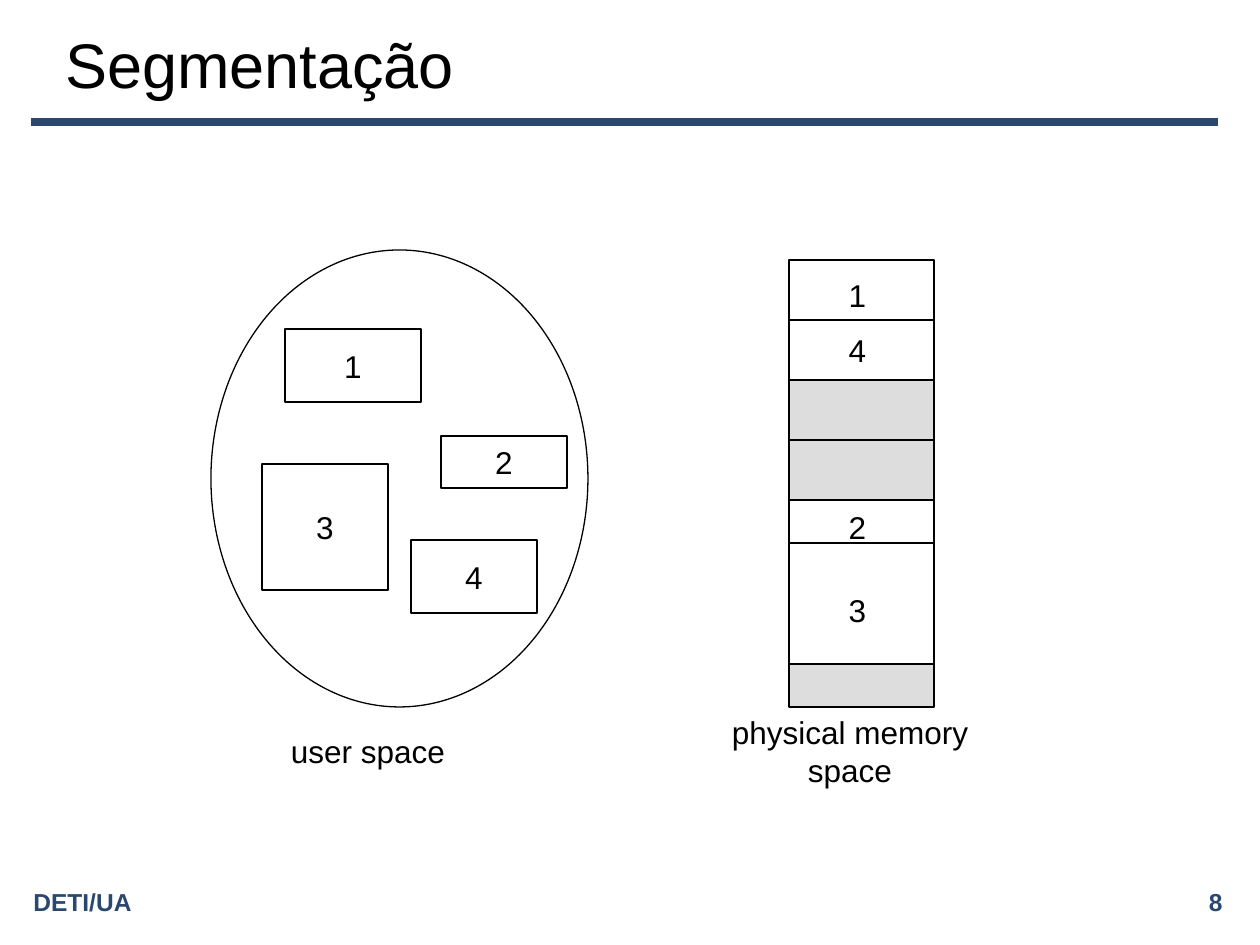
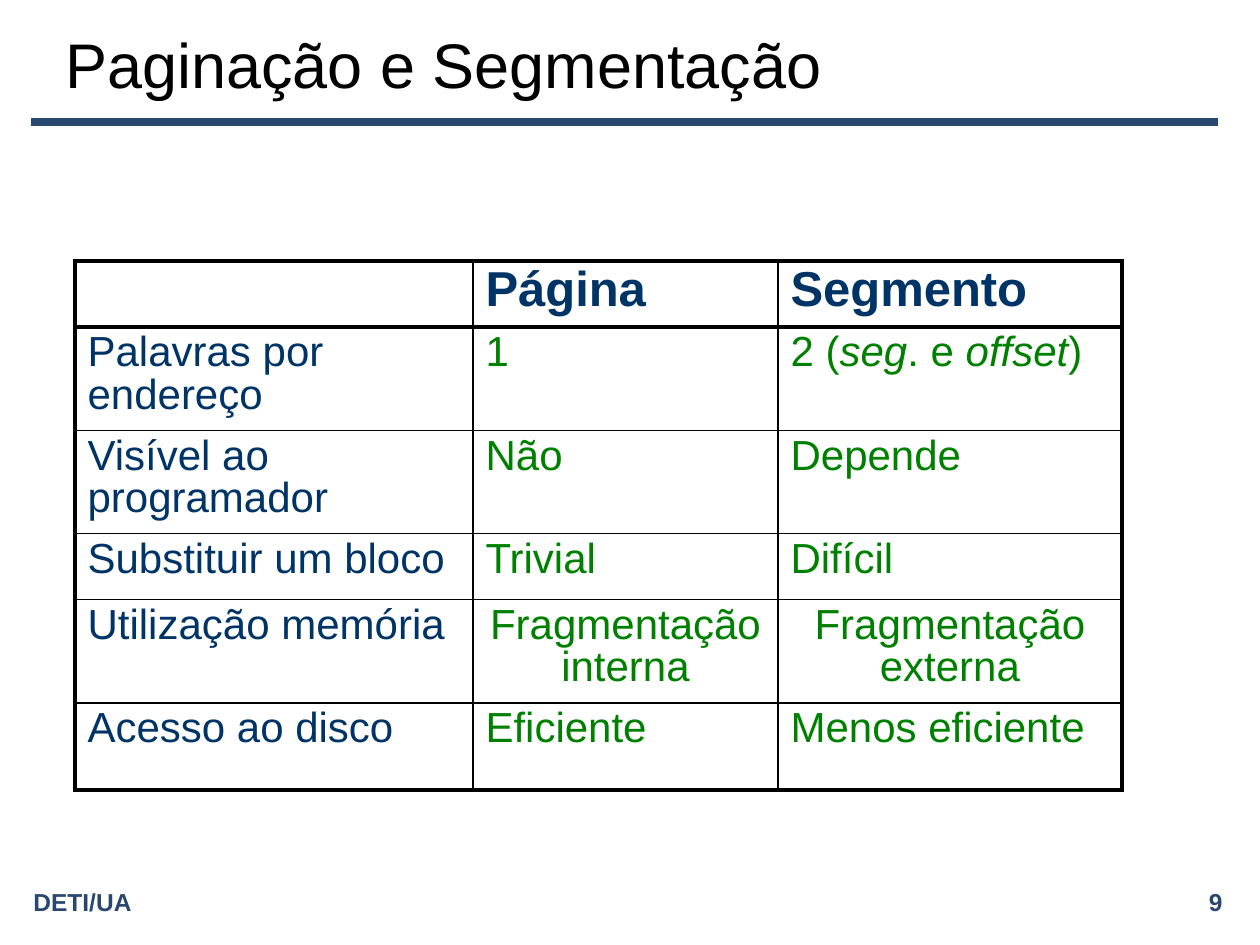
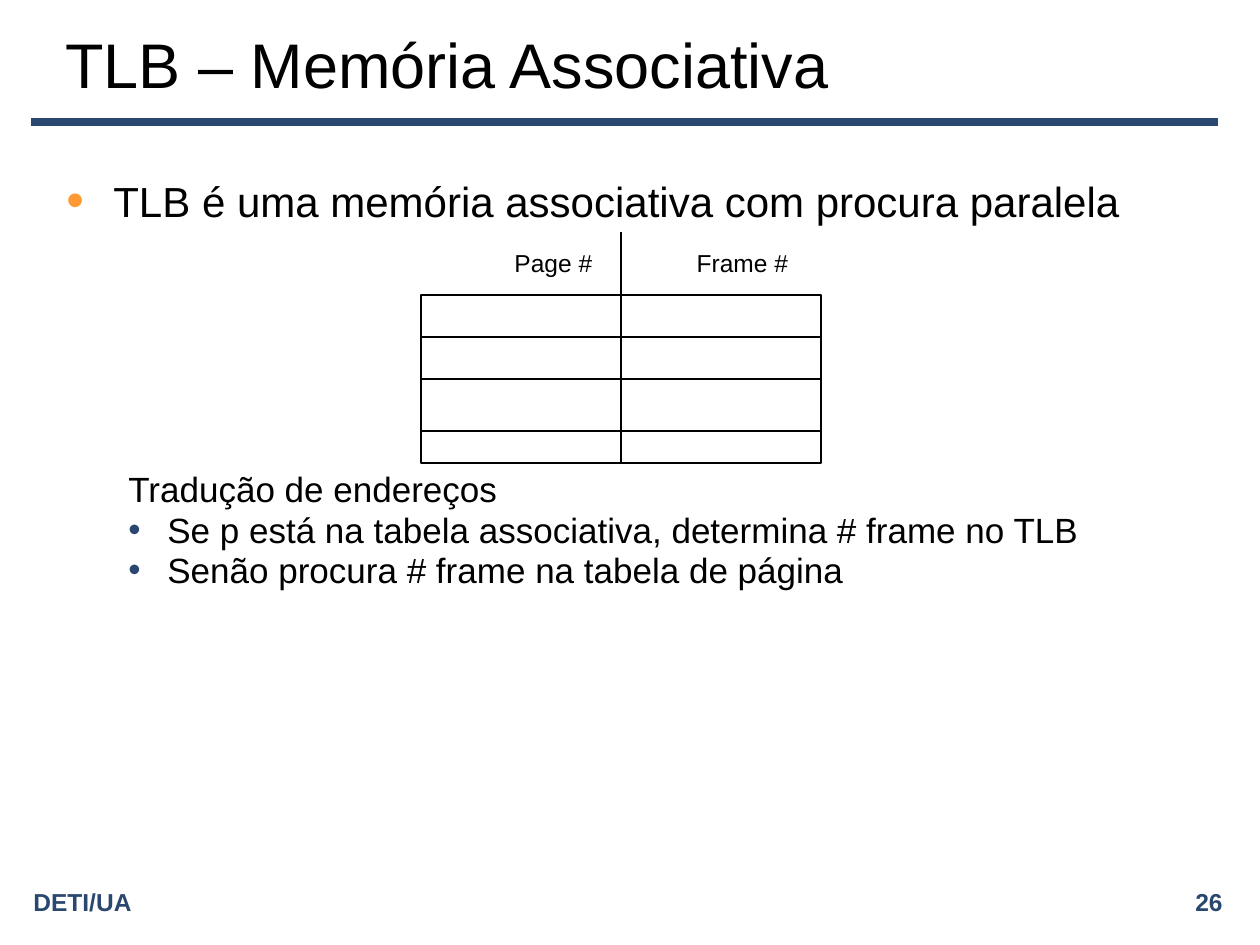
from lxml.etree import SubElement
from pptx import Presentation
from pptx.dml.color import RGBColor
from pptx.enum.shapes import MSO_CONNECTOR, MSO_SHAPE
from pptx.enum.text import MSO_ANCHOR, PP_ALIGN
from pptx.oxml import parse_xml
from pptx.oxml.ns import nsdecls, qn
from pptx.util import Pt

PX = 914400 // 126
FONT = "Arial"
BLACK, WHITE, GREY = "000000", "FFFFFF", "DDDDDD"
BLUE, NAVY, GREEN, ORANGE = "2A476F", "003366", "008000", "FF9933"
THIN = 0.75
LEFT_SIDE, BOTTOM_SIDE, RIGHT_SIDE = 1, 2, 3


def add_box(slide, box, text="", preset=None, fill=WHITE, size=18, color=BLACK,
            bold=False, align=PP_ALIGN.CENTER, wrap=False):
    """Add a preset shape, or a text box when no preset is given; box is in px."""
    place = [length * PX for length in box]
    if preset is None:
        shape = slide.shapes.add_textbox(*place)
    else:
        shape = slide.shapes.add_shape(preset, *place)
        shape.shadow.inherit = False
        shape.fill.solid()
        shape.fill.fore_color.rgb = RGBColor.from_string(fill)
        shape.line.color.rgb = RGBColor.from_string(BLACK)
        shape.line.width = Pt(THIN)
    frame = shape.text_frame
    frame.word_wrap = wrap
    frame.vertical_anchor = MSO_ANCHOR.MIDDLE
    if text:
        paragraph = frame.paragraphs[0]
        paragraph.alignment = align
        run = paragraph.add_run()
        run.text = text
        run.font.name = FONT
        run.font.size = Pt(size)
        run.font.bold = bold
        run.font.color.rgb = RGBColor.from_string(color)
    return shape


def add_line(slide, x1, y1, x2, y2, color=BLACK, width=THIN):
    ends = [length * PX for length in (x1, y1, x2, y2)]
    line = slide.shapes.add_connector(MSO_CONNECTOR.STRAIGHT, *ends)
    line.line.color.rgb = RGBColor.from_string(color)
    line.line.width = Pt(width)
    SubElement(line._element.spPr, qn("a:effectLst"))
    return line


presentation = Presentation()
presentation.slide_width = 1260 * PX
presentation.slide_height = 945 * PX

# Title, rule and footers on every slide
slides = []
for title, number in (("Segmentação", "8"), ("Paginação e Segmentação", "9"),
                      ("TLB – Memória Associativa", "26")):
    slide = presentation.slides.add_slide(presentation.slide_layouts[6])
    add_line(slide, 31, 122, 1218, 122, color=BLUE, width=4.5)
    for left, text, align in ((746, number, PP_ALIGN.RIGHT), (21, "DETI/UA", PP_ALIGN.LEFT)):
        add_box(slide, (left, 882, 489, 39), text, size=14, color=BLUE, bold=True,
                align=align, wrap=True)
    add_box(slide, (53, 21, 1102, 84), title, size=36, align=PP_ALIGN.LEFT, wrap=True)
    slides.append(slide)
segmentation, comparison, tlb = slides

# Segmentation: user space
add_box(segmentation, (211, 250, 377, 457), preset=MSO_SHAPE.OVAL)
for name, box in (("1", (285, 329, 136, 73)), ("3", (262, 464, 126, 126)),
                  ("2", (441, 436, 126, 52)), ("4", (411, 540, 126, 73))):
    add_box(segmentation, box, name, preset=MSO_SHAPE.RECTANGLE)

# Segmentation: physical memory, blocks stacked from the top
memory_left, memory_width, block_top = 789, 145, 260
for height, fill, divider in ((120, WHITE, 60), (120, GREY, 60),
                              (164, WHITE, 43), (43, GREY, None)):
    block = add_box(segmentation, (memory_left, block_top, memory_width, height),
                    preset=MSO_SHAPE.RECTANGLE, fill=fill)
    if divider:
        y = block_top + divider
        line = add_line(segmentation, memory_left, y, memory_left + memory_width, y)
        if divider * 2 == height:
            line.begin_connect(block, LEFT_SIDE)
            line.end_connect(block, RIGHT_SIDE)
    block_top += height
for name, top in (("1", 270), ("4", 325), ("2", 502), ("3", 585)):
    add_box(segmentation, (836, top, 43, 50), name)
add_box(segmentation, (274, 726, 188, 50), "user space", wrap=True)
add_box(segmentation, (680, 726, 340, 50), "physical memory space", wrap=True)

# Comparison table; text between asterisks is italic
rows = (
    (66, "", "Página", "Segmento"),
    (103, "Palavras por endereço", "1", "2 (*seg*. e *offset*)"),
    (103, "Visível ao programador", "Não", "Depende"),
    (66, "Substituir um bloco", "Trivial", "Difícil"),
    (103, "Utilização memória", "Fragmentação interna", "Fragmentação externa"),
    (87, "Acesso ao disco", "Eficiente", "Menos eficiente"),
)
column_widths = (398, 305, 344)
last_row, last_column = len(rows) - 1, len(column_widths) - 1
table = comparison.shapes.add_table(
    len(rows), len(column_widths), 75 * PX, 261 * PX,
    sum(column_widths) * PX, sum(row[0] for row in rows) * PX).table
table.first_row = table.horz_banding = False
for column, width in zip(table.columns, column_widths):
    column.width = width * PX
for r, (height, *texts) in enumerate(rows):
    table.rows[r].height = height * PX
    for c, text in enumerate(texts):
        cell = table.cell(r, c)
        cell.fill.background()
        thick_sides = (("L", c == 0), ("R", c == last_column),
                       ("T", r <= 1), ("B", r in (0, last_row)))
        for index, (side, thick) in enumerate(thick_sides):
            border = parse_xml(
                f'<a:ln{side} {nsdecls("a")} w="{Pt(2.21 if thick else 0.96)}"><a:solidFill>'
                f'<a:srgbClr val="{BLACK}"/></a:solidFill></a:ln{side}>')
            cell._tc.get_or_add_tcPr().insert(index, border)
        if not text:
            continue
        header = r == 0
        paragraph = cell.text_frame.paragraphs[0]
        paragraph.line_spacing = 0.9
        paragraph.space_before = Pt(2.8 if header else 2.4)
        paragraph.space_after = Pt(7 if header else 6)
        if text.startswith("Fragmentação"):
            paragraph.alignment = PP_ALIGN.CENTER
        for index, part in enumerate(text.split("*")):
            run = paragraph.add_run()
            run.text = part
            run.font.name = FONT
            run.font.size = Pt(28 if header else 24)
            run.font.bold = header
            run.font.italic = index % 2 == 1
            run.font.color.rgb = RGBColor.from_string(NAVY if header or c == 0 else GREEN)

# TLB: text, with room for the drawing after the first paragraph
body = add_box(tlb, (53, 179, 1134, 624), wrap=True).text_frame
body.vertical_anchor = MSO_ANCHOR.TOP
paragraphs = (
    ("TLB é uma memória associativa com procura paralela", 24, 4.8, 48, -47, ORANGE, 120),
    ("Tradução de endereços", 20, 143, 102, -39, None, None),
    ("Se p está na tabela associativa, determina # frame no TLB", 20, 4, 102, -39, BLUE, 100),
    ("Senão procura # frame na tabela de página", 20, 4, 102, -39, BLUE, 100),
)
for index, (text, size, before, margin, indent, bullet, percent) in enumerate(paragraphs):
    paragraph = body.add_paragraph() if index else body.paragraphs[0]
    paragraph.line_spacing = 0.8
    paragraph.space_before = Pt(before)
    run = paragraph.add_run()
    run.text = text
    run.font.name = FONT
    run.font.size = Pt(size)
    run.font.color.rgb = RGBColor.from_string(BLACK)
    properties = paragraph._p.get_or_add_pPr()
    properties.set("marL", str(margin * PX))
    properties.set("indent", str(indent * PX))
    if bullet:
        bullet_color = SubElement(properties, qn("a:buClr"))
        SubElement(bullet_color, qn("a:srgbClr"), val=bullet)
        SubElement(properties, qn("a:buSzPct"), val=str(percent * 1000))
        SubElement(properties, qn("a:buFont"), typeface=FONT)
        SubElement(properties, qn("a:buChar"), char="•")
    else:
        SubElement(properties, qn("a:buNone"))

# TLB: associative memory
left, top, width, height = 421, 295, 400, 168
memory = add_box(tlb, (left, top, width, height), preset=MSO_SHAPE.RECTANGLE)
middle = left + width // 2
add_line(tlb, middle, 232, middle, top + height).end_connect(memory, BOTTOM_SIDE)
for offset in (42, 84, 136):
    line = add_line(tlb, left, top + offset, left + width, top + offset)
    if offset * 2 == height:
        line.begin_connect(memory, LEFT_SIDE)
        line.end_connect(memory, RIGHT_SIDE)
for label_left, label in ((464, "Page #"), (653, "Frame #")):
    add_box(tlb, (label_left, 242, 179, 42), label, size=14)

presentation.save("out.pptx")
